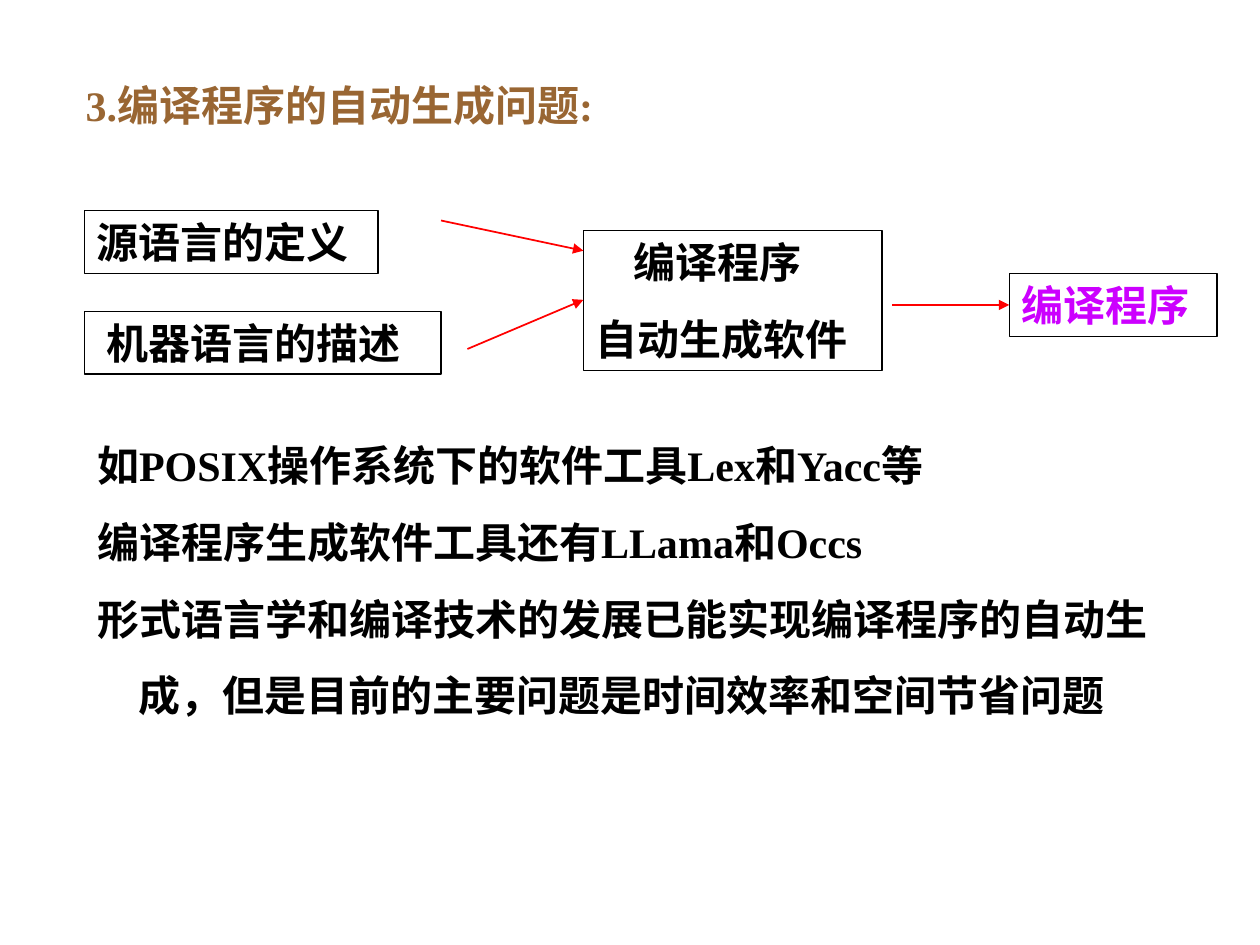
from pptx import Presentation
from pptx.dml.color import RGBColor
from pptx.enum.shapes import MSO_CONNECTOR, MSO_SHAPE
from pptx.enum.text import MSO_ANCHOR, MSO_AUTO_SIZE, PP_ALIGN
from pptx.oxml.ns import qn
from pptx.util import Inches, Pt
from lxml.etree import SubElement

# Content: each paragraph is (text, left indent in inches)
TITLE = [("3.编译程序的自动生成问题:", 0)]
BODY = [
    ("如POSIX操作系统下的软件工具Lex和Yacc等", 0),
    ("编译程序生成软件工具还有LLama和Occs", 0),
    ("形式语言学和编译技术的发展已能实现编译程序的自动生", 0),
    ("成，但是目前的主要问题是时间效率和空间节省问题", 0.33),
]
BOXES = {  # name: (left, top, width, height), paragraphs, colour
    "source": ((0.67, 1.67, 2.33, 0.5), [("源语言的定义", 0)], "text"),
    "machine": ((0.67, 2.47, 2.83, 0.5), [("机器语言的描述", 0.08)], "text"),
    "generator": ((4.63, 1.83, 2.37, 1.11),
                  [("编译程序", 0.3), ("自动生成软件", 0)], "text"),
    "compiler": ((8.01, 2.17, 1.65, 0.5), [("编译程序", 0)], "result"),
}
ARROWS = [  # from, to, box joined at the middle of its left side
    ((3.5, 1.75), (4.63, 1.99), None),
    ((3.71, 2.77), (4.63, 2.38), None),
    ((7.08, 2.42), (8.01, 2.42), "compiler"),
]
TITLE_AT = (0.58, 0.58, 4.83, 0.5)
BODY_AT = (0.67, 3.44, 9.06, 2.33)

THEME = {
    "font": {"name": "Times New Roman", "size": Pt(24), "bold": True},
    "gap": Pt(15),
    "box_line": Pt(0.75),
    "arrow_line": Pt(1),
    "title": RGBColor(0x99, 0x66, 0x33),
    "text": RGBColor(0, 0, 0),
    "result": RGBColor(0xCC, 0x00, 0xFF),
    "arrow": RGBColor(0xFF, 0, 0),
}
FRAME = {
    "word_wrap": True, "auto_size": MSO_AUTO_SIZE.NONE,
    "vertical_anchor": MSO_ANCHOR.TOP,
    "margin_left": Inches(0.1), "margin_right": Inches(0.1),
    "margin_top": Inches(0.05), "margin_bottom": Inches(0.05),
}


def apply(obj, values):
    for key, value in values.items():
        setattr(obj, key, value)


def place(sp, at):
    apply(sp, dict(zip(("left", "top", "width", "height"), map(Inches, at))))


def write(sp, paragraphs, color):
    tf = sp.text_frame
    apply(tf, FRAME)
    for i, (text, indent) in enumerate(paragraphs):
        p = tf.add_paragraph() if i else tf.paragraphs[0]
        p.alignment = PP_ALIGN.LEFT
        p.space_before = THEME["gap"] if i else Pt(0)
        pPr = p._p.get_or_add_pPr()
        pPr.set("marL", str(Inches(indent)))
        pPr.set("indent", "0")
        SubElement(pPr, qn("a:buNone"))
        r = p.add_run()
        r.text = text
        apply(r.font, THEME["font"])
        r.font.color.rgb = THEME[color]


def add_box(s, at, paragraphs, color):
    sp = s.shapes.add_shape(MSO_SHAPE.RECTANGLE, *map(Inches, at))
    sp.shadow.inherit = False
    sp.fill.background()
    sp.line.color.rgb = THEME["text"]
    sp.line.width = THEME["box_line"]
    write(sp, paragraphs, color)
    return sp


def add_arrow(s, start, end, target):
    c = s.shapes.add_connector(MSO_CONNECTOR.STRAIGHT, *map(Inches, start + end))
    if target is not None:
        c.end_connect(target, 1)
    c.line.color.rgb = THEME["arrow"]
    c.line.width = THEME["arrow_line"]
    SubElement(c.line._get_or_add_ln(), qn("a:tailEnd"), type="triangle")
    SubElement(c._element.spPr, qn("a:effectLst"))


def main():
    prs = Presentation()
    prs.slide_width, prs.slide_height = Inches(10), Inches(7.5)
    s = prs.slides.add_slide(prs.slide_layouts[1])

    # Heading and remarks
    title, body = s.shapes.title, s.placeholders[1]
    place(title, TITLE_AT)
    write(title, TITLE, "title")
    place(body, BODY_AT)
    write(body, BODY, "text")

    # Flow diagram
    boxes = {name: add_box(s, *box) for name, box in BOXES.items()}
    for start, end, target in ARROWS:
        add_arrow(s, start, end, boxes.get(target))

    prs.save("out.pptx")


if __name__ == "__main__":
    main()
